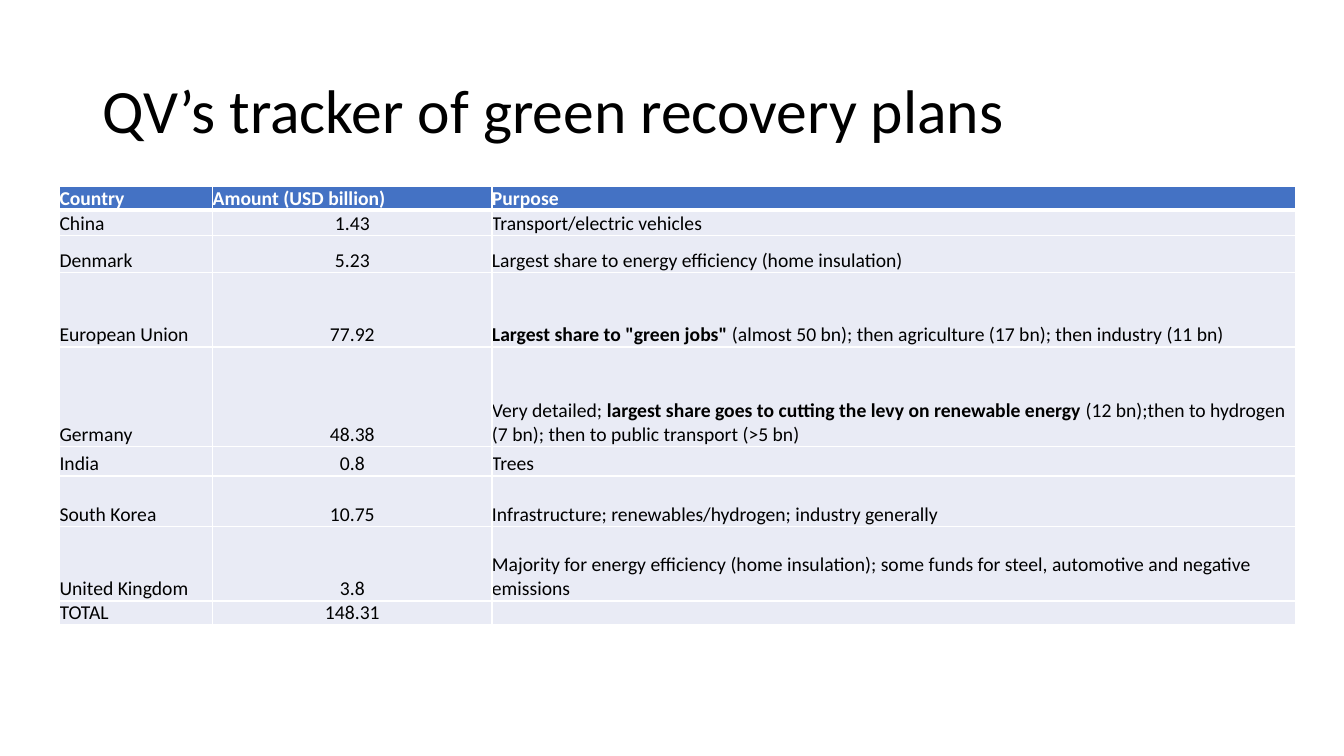
"""Build a slide with a table of green recovery plans by country."""
from dataclasses import dataclass

import lxml.etree
import pptx
import pptx.dml.color
import pptx.enum.text
import pptx.oxml.ns
import pptx.table
import pptx.util

Inches = pptx.util.Inches
Pt = pptx.util.Pt
RGB = pptx.dml.color.RGBColor
Align = pptx.enum.text.PP_ALIGN
Anchor = pptx.enum.text.MSO_ANCHOR


@dataclass(frozen=True)
class Theme:
    font: str = "Calibri"
    title: int = 44
    body: int = 14
    ink: str = "000000"
    white: str = "FFFFFF"
    head: str = "4472C4"
    row: str = "E9EBF5"
    thin: int = 1
    thick: int = 3


@dataclass(frozen=True)
class Span:
    text: str
    bold: bool = False


@dataclass(frozen=True)
class Plan:
    name: str
    amount: str
    goal: tuple[Span, ...]
    height: float


THEME = Theme()
WIDTHS = (1.52, 2.77, 7.97)
PLANS = (
    Plan("Country", "Amount (USD billion)", (Span("Purpose", True),), 0.16),
    Plan("China", "1.43", (Span("Transport/electric vehicles"),), 0.25),
    Plan("Denmark", "5.23",
         (Span("Largest share to energy efficiency (home insulation)"),), 0.37),
    Plan("European Union", "77.92",
         (Span('Largest share to "green jobs" ', True),
          Span("(almost 50 bn); then agriculture (17 bn); "
               "then industry (11 bn)")), 0.74),
    Plan("Germany", "48.38",
         (Span("Very detailed; "),
          Span("largest share goes to cutting the levy on renewable energy ",
               True),
          Span("(12 bn);then to hydrogen (7 bn); "
               "then to public transport (>5 bn)")), 0.99),
    Plan("India", "0.8", (Span("Trees"),), 0.29),
    Plan("South Korea", "10.75",
         (Span("Infrastructure; renewables/hydrogen; industry generally"),),
         0.5),
    Plan("United Kingdom", "3.8",
         (Span("Majority for energy efficiency (home insulation); some funds "
               "for steel, automotive and negative emissions"),), 0.74),
    Plan("TOTAL", "148.31", (), 0.16),
)


def style(para, size: int, color: str) -> None:
    """Set the font of a paragraph."""
    para.font.name = THEME.font
    para.font.size = Pt(size)
    para.font.color.rgb = RGB.from_string(color)


def border(cell: pptx.table._Cell, base: int) -> None:
    """Draw white lines around a cell, with the given width at its base."""
    props = cell._tc.get_or_add_tcPr()
    name = pptx.oxml.ns.qn
    for i, side in enumerate(("lnL", "lnR", "lnT", "lnB")):
        width = base if side == "lnB" else THEME.thin
        line = lxml.etree.Element(name(f"a:{side}"), w=str(Pt(width)))
        fill = lxml.etree.SubElement(line, name("a:solidFill"))
        lxml.etree.SubElement(fill, name("a:srgbClr"), val=THEME.white)
        props.insert(i, line)


def write(cell: pptx.table._Cell, spans: tuple[Span, ...], head: bool,
          align: Align, base: int) -> None:
    """Fill one cell with text, color and lines."""
    cell.margin_left = cell.margin_right = 0
    cell.margin_top = cell.margin_bottom = 0
    cell.vertical_anchor = Anchor.BOTTOM
    cell.fill.solid()
    cell.fill.fore_color.rgb = RGB.from_string(THEME.head if head else THEME.row)
    para = cell.text_frame.paragraphs[0]
    para.alignment = align
    style(para, THEME.body, THEME.white if head else THEME.ink)
    for span in spans:
        run = para.add_run()
        run.text = span.text
        run.font.bold = span.bold
    border(cell, base)


def title(slide, text: str) -> None:
    """Add the slide title."""
    box = slide.shapes.add_textbox(
        Inches(0.92), Inches(0.4), Inches(11.5), Inches(1.45))
    frame = box.text_frame
    frame.word_wrap = True
    frame.vertical_anchor = Anchor.MIDDLE
    para = frame.paragraphs[0]
    para.text = text
    para.line_spacing = 0.9
    style(para, THEME.title, THEME.ink)


def grid(slide, plans: tuple[Plan, ...]) -> None:
    """Add the table of plans."""
    table = slide.shapes.add_table(
        len(plans), len(WIDTHS), Inches(0.59), Inches(1.85),
        Inches(sum(WIDTHS)), Inches(sum(p.height for p in plans))).table
    table.first_row = True
    table.horz_banding = False
    for col, width in zip(table.columns, WIDTHS):
        col.width = Inches(width)
    for i, plan in enumerate(plans):
        head = i == 0
        table.rows[i].height = Inches(plan.height)
        row = ((Span(plan.name, head),), (Span(plan.amount, head),), plan.goal)
        for j, spans in enumerate(row):
            mid = j == 1 and not head
            write(table.cell(i, j), spans, head,
                  Align.CENTER if mid else Align.LEFT,
                  THEME.thick if head else THEME.thin)


def main() -> None:
    """Build and save the deck."""
    deck = pptx.Presentation()
    deck.slide_width = Inches(13.33)
    deck.slide_height = Inches(7.5)
    slide = deck.slides.add_slide(deck.slide_layouts[6])
    title(slide, "QV’s tracker of green recovery plans")
    grid(slide, PLANS)
    deck.save("out.pptx")


if __name__ == "__main__":
    main()
